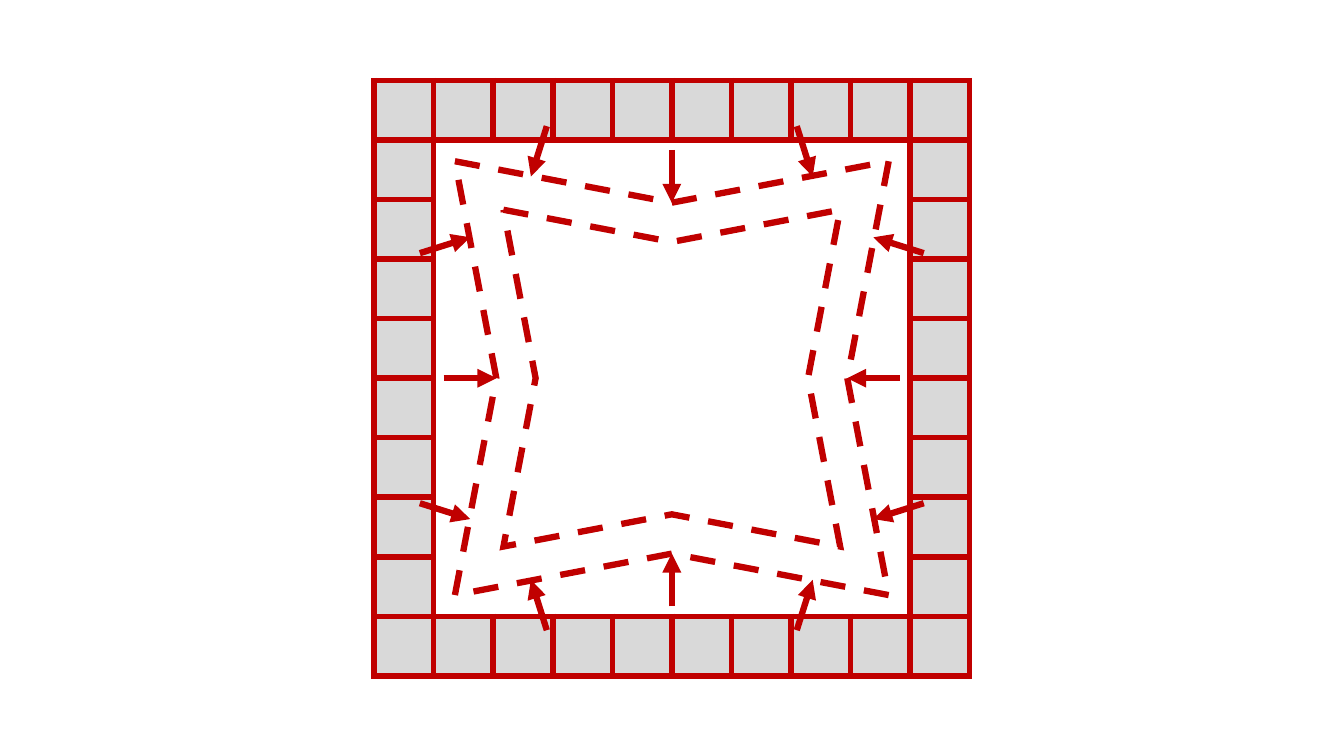
from lxml import etree
from pptx import Presentation
from pptx import util as u
from pptx.dml.color import RGBColor
from pptx.enum import dml, shapes
from pptx.oxml.ns import qn

RED, GREY = "C00000", "D9D9D9"
WIDTH = u.Pt(4.5)
N, CELL = 10, 1.5
CX, CY = 16.93, 9.53


def rgb(value):
    return RGBColor.from_string(value)


def add_border(cell, side, visible):
    ln = etree.SubElement(cell._tc.get_or_add_tcPr(), qn(f"a:ln{side}"), w=str(WIDTH))
    if visible:
        fill = etree.SubElement(ln, qn("a:solidFill"))
        etree.SubElement(fill, qn("a:srgbClr"), val=RED)
    else:
        etree.SubElement(ln, qn("a:noFill"))


prs = Presentation()
prs.slide_width, prs.slide_height = u.Cm(33.87), u.Cm(19.05)
s = prs.slides.add_slide(prs.slide_layouts[6])

size = u.Cm(N * CELL)
left, top = u.Cm(CX - N * CELL / 2), u.Cm(CY - N * CELL / 2)
table = s.shapes.add_table(N, N, left, top, size, size).table
table.first_row = table.horz_banding = False
for i in range(N):
    table.columns[i].width = table.rows[i].height = u.Cm(CELL)

last = N - 1
for row in range(N):
    for col in range(N):
        cell = table.cell(row, col)
        on_frame = row in (0, last) or col in (0, last)
        edges = {"L": col == 1, "R": col == last - 1, "T": row == 1, "B": row == last - 1}
        for side, touches_frame in edges.items():
            add_border(cell, side, on_frame or touches_frame)
        if on_frame:
            cell.fill.solid()
            cell.fill.fore_color.rgb = rgb(GREY)
        else:
            cell.fill.background()

inward = [((0, -5.75), (0, -4.42)), ((-3.15, -6.35), (-3.55, -5.08)), ((3.15, -6.35), (3.55, -5.08))]
for turn in range(4):
    for (x1, y1), (x2, y2) in inward:
        arrow = s.shapes.add_connector(
            shapes.MSO_CONNECTOR.STRAIGHT,
            u.Cm(CX + x1), u.Cm(CY + y1), u.Cm(CX + x2), u.Cm(CY + y2))
        arrow.line.color.rgb = rgb(RED)
        arrow.line.width = WIDTH
        etree.SubElement(arrow.line._get_or_add_ln(), qn("a:tailEnd"), type="triangle")
        etree.SubElement(arrow._element.spPr, qn("a:effectLst"))
    inward = [((-y1, x1), (-y2, x2)) for (x1, y1), (x2, y2) in inward]

for span in (15.46, 12):
    star = s.shapes.add_shape(
        shapes.MSO_SHAPE.STAR_4_POINT,
        u.Cm(CX - span / 2), u.Cm(CY - span / 2), u.Cm(span), u.Cm(span))
    star.adjustments[0] = 0.286
    star.rotation = 45
    star.shadow.inherit = False
    star.fill.background()
    star.line.color.rgb = rgb(RED)
    star.line.width = WIDTH
    star.line.dash_style = dml.MSO_LINE.DASH
    etree.SubElement(star.line._get_or_add_ln(), qn("a:miter"), lim="800000")

prs.save("out.pptx")
